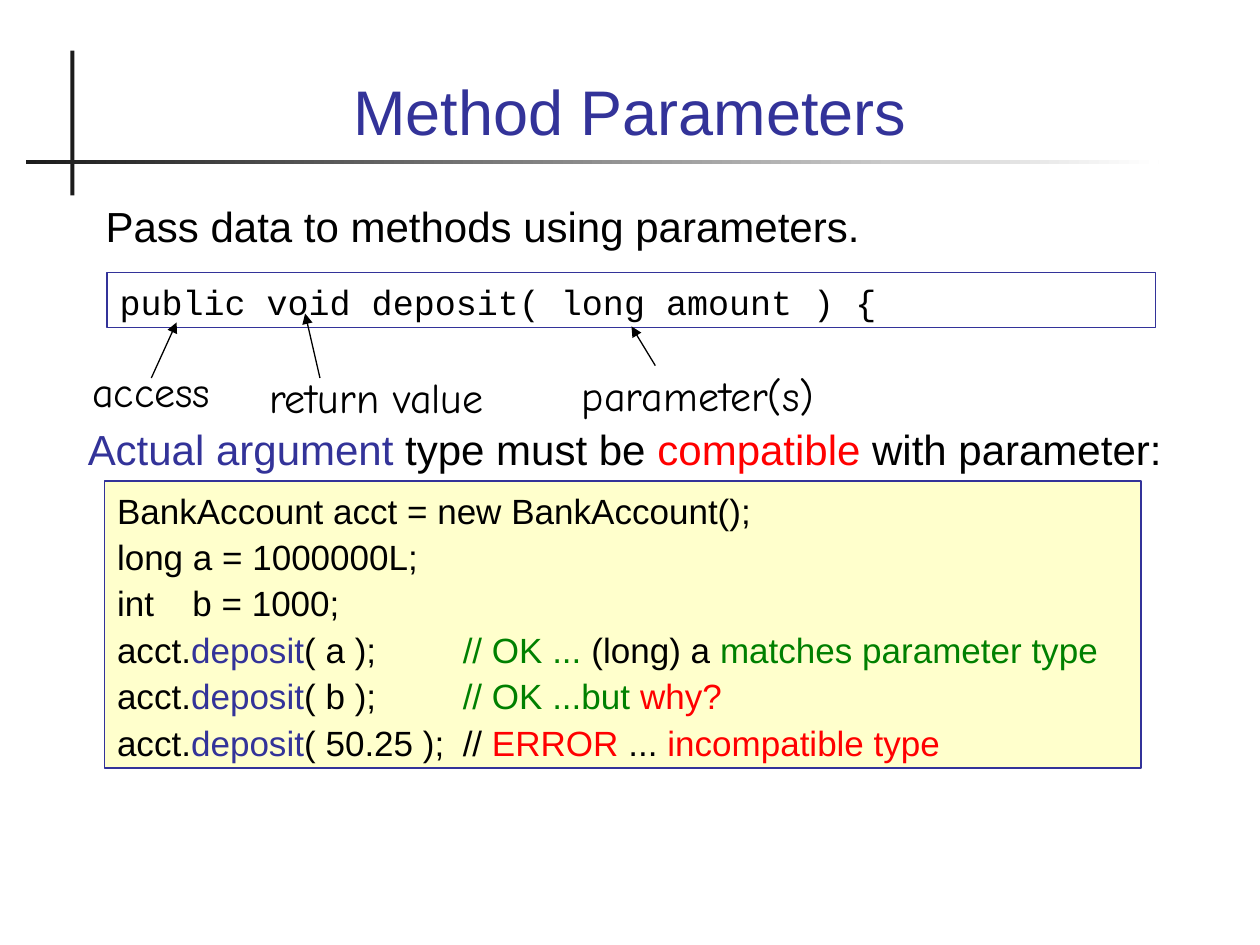
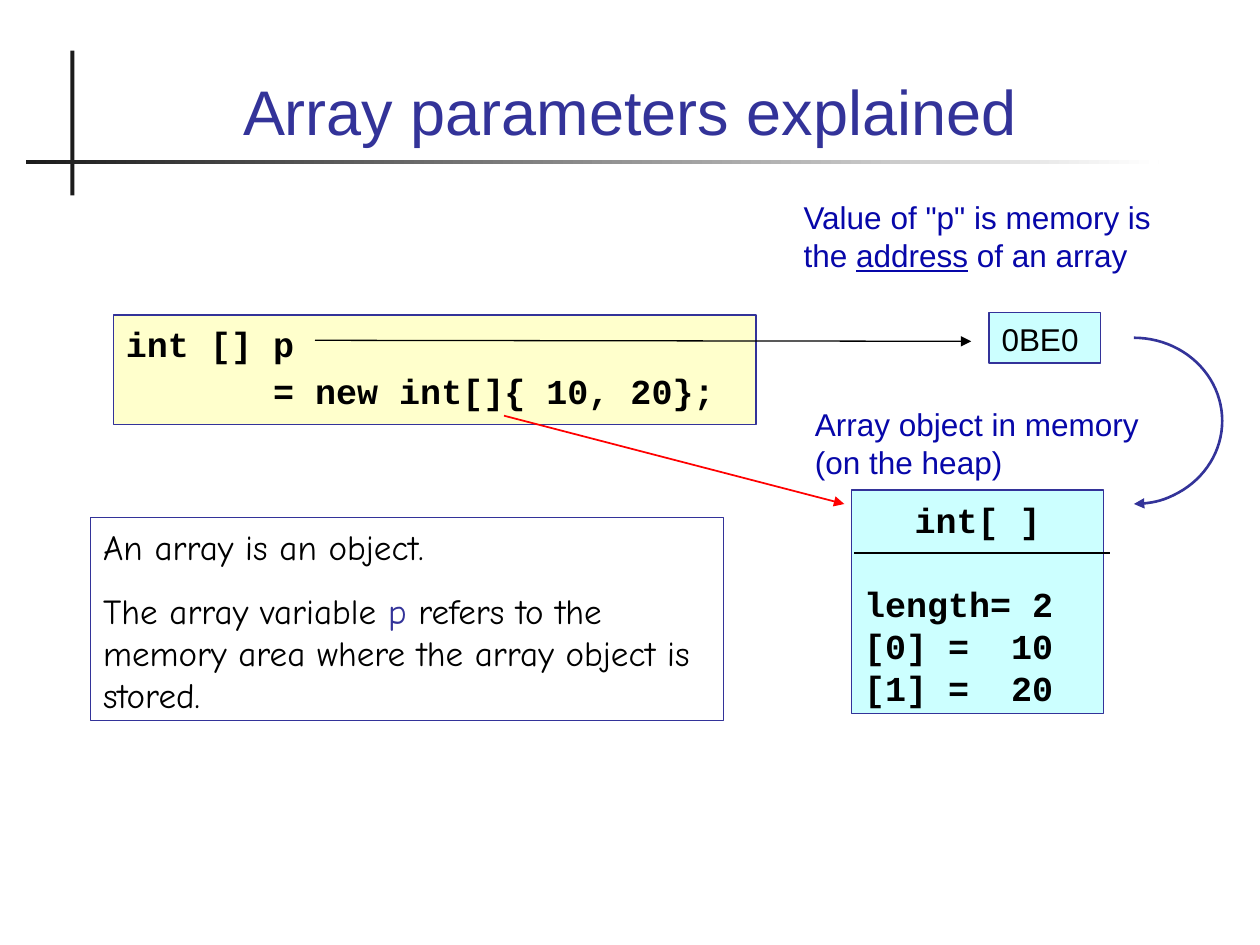
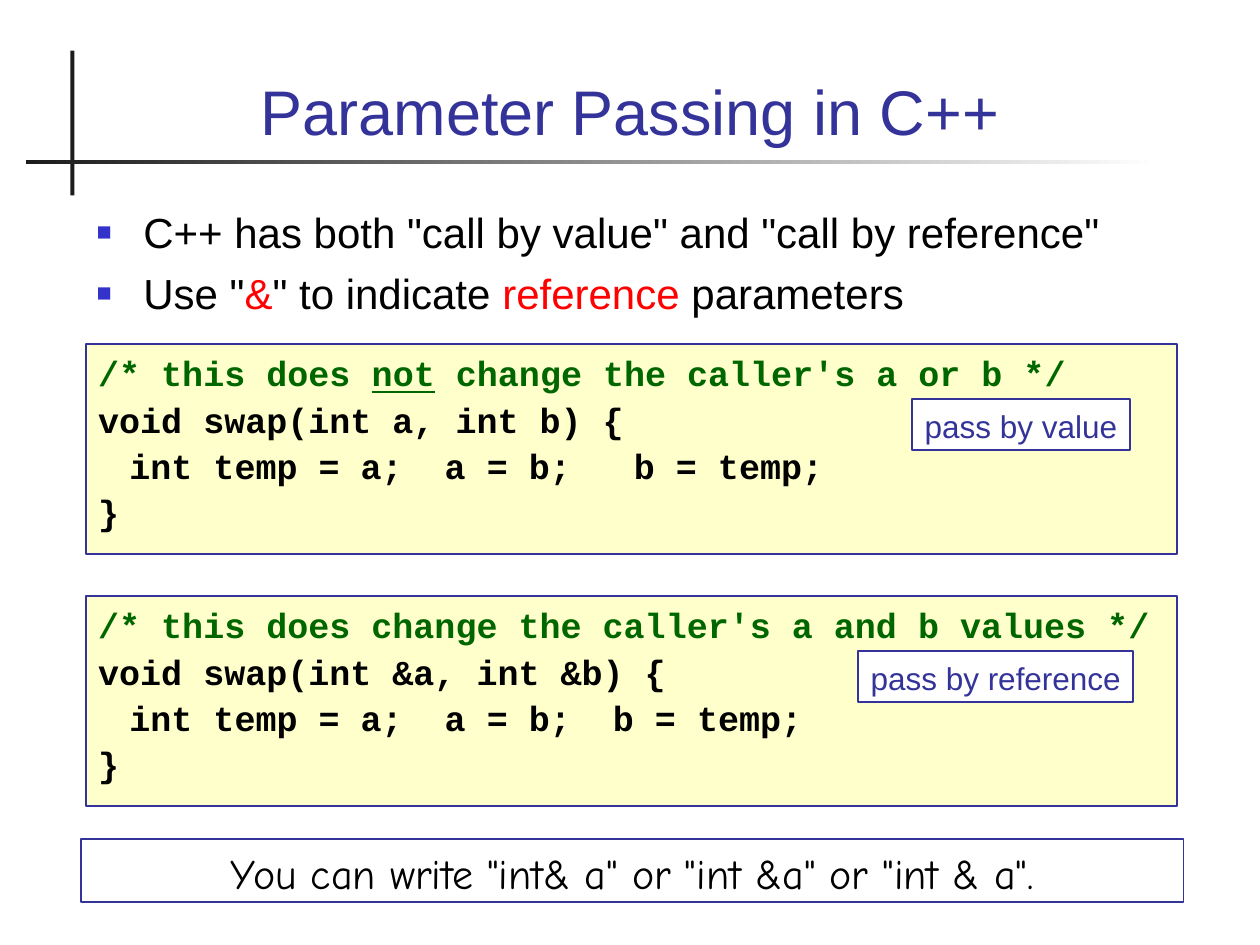
from dataclasses import dataclass

from lxml.etree import SubElement
from pptx import Presentation
from pptx.dml.color import RGBColor
from pptx.enum.shapes import MSO_CONNECTOR, MSO_SHAPE
from pptx.enum.text import MSO_ANCHOR, PP_ALIGN
from pptx.oxml.ns import qn
from pptx.util import Cm, Pt

BLACK = RGBColor(0x00, 0x00, 0x00)
WHITE = RGBColor(0xFF, 0xFF, 0xFF)
CHARCOAL = RGBColor(0x1C, 0x1C, 0x1C)
INDIGO = RGBColor(0x33, 0x33, 0x99)
BULLET_BLUE = RGBColor(0x33, 0x33, 0xCC)
NOTE_BLUE = RGBColor(0x07, 0x07, 0xA9)
RED = RGBColor(0xFF, 0x00, 0x00)
GREEN = RGBColor(0x00, 0x80, 0x00)
COMMENT_GREEN = RGBColor(0x00, 0x66, 0x00)
CREAM = RGBColor(0xFF, 0xFF, 0xCC)
CYAN = RGBColor(0xCC, 0xFF, 0xFF)

LINE_HEIGHT = 1.2
BULLET_INDENT = Cm(0.94)


@dataclass(frozen=True)
class Style:
    size: int
    font: str = "Arial"
    color: RGBColor = BLACK
    bold: bool = False
    align: PP_ALIGN = PP_ALIGN.LEFT
    gap: float = 0
    bullet: bool = False


TITLE = Style(36, color=INDIGO, align=PP_ALIGN.CENTER)
BODY = Style(24)
BULLETS = Style(24, gap=6, bullet=True)
CODE = Style(20, "Courier New", bold=True, gap=2.5)
SIGNATURE = Style(20, "Courier New")
EXAMPLE = Style(20, gap=2.5)
MEMORY = Style(20, "Courier New", bold=True)
HANDWRITTEN = Style(24, "Comic Neue", align=PP_ALIGN.CENTER)
REMARK = Style(20, "Comic Neue", gap=12.5)
ADDRESS = Style(18)
CAPTION = Style(18, color=NOTE_BLUE)
TAG = Style(18, color=INDIGO)


def add_bullet(paragraph):
    properties = paragraph._p.get_or_add_pPr()
    properties.set("marL", str(BULLET_INDENT))
    properties.set("indent", str(-BULLET_INDENT))
    color = SubElement(properties, qn("a:buClr"))
    SubElement(color, qn("a:srgbClr"), val=str(BULLET_BLUE))
    SubElement(properties, qn("a:buSzPct"), val="60000")
    SubElement(properties, qn("a:buFont"), typeface="Arial")
    SubElement(properties, qn("a:buChar"), char="■")


def add_tabs(paragraph, stops):
    tabs = SubElement(paragraph._p.get_or_add_pPr(), qn("a:tabLst"))
    for stop in stops:
        SubElement(tabs, qn("a:tab"), pos=str(Cm(stop)), algn="l")


def write(shape, lines, style, tabs=(), wrap=True, anchor=MSO_ANCHOR.TOP):
    """Write lines; each is a string or a list of strings and (text, color, underline) runs."""
    frame = shape.text_frame
    frame.word_wrap = wrap
    frame.vertical_anchor = anchor
    frame.margin_left = frame.margin_right = Cm(0.25)
    frame.margin_top, frame.margin_bottom = Cm(0.16), Cm(0.13)
    for index, line in enumerate(lines):
        paragraph = frame.paragraphs[0] if index == 0 else frame.add_paragraph()
        if style.bullet:
            add_bullet(paragraph)
        if tabs:
            add_tabs(paragraph, tabs)
        paragraph.alignment = style.align
        paragraph.line_spacing = Pt(style.size * LINE_HEIGHT)
        paragraph.space_before = Pt(style.gap if index else 0)
        font = paragraph.font
        font.name, font.size, font.bold = style.font, Pt(style.size), style.bold
        font.color.rgb = style.color
        for part in [line] if isinstance(line, str) else line:
            text, color, underline = (part, None, False) if isinstance(part, str) else part
            run = paragraph.add_run()
            run.text = text
            if color is not None:
                run.font.color.rgb = color
            if underline:
                run.font.underline = True
    return frame


def add_label(slide, box, lines, style, **options):
    return write(slide.shapes.add_textbox(*map(Cm, box)), lines, style, **options)


def add_rectangle(slide, box, fill=None, border=None):
    """Add a rectangle; border is a width in points."""
    rectangle = slide.shapes.add_shape(MSO_SHAPE.RECTANGLE, *map(Cm, box))
    rectangle.shadow.inherit = False
    if fill is None:
        rectangle.fill.background()
    else:
        rectangle.fill.solid()
        rectangle.fill.fore_color.rgb = fill
    if border is None:
        rectangle.line.fill.background()
    else:
        rectangle.line.color.rgb = INDIGO
        rectangle.line.width = Pt(border)
    return rectangle


def add_panel(slide, box, lines, style, fill=None, border=1, **options):
    return write(add_rectangle(slide, box, fill, border), lines, style, **options)


def stroke(shape, color, width, arrow):
    shape.line.color.rgb = color
    shape.line.width = Pt(width)
    if arrow:
        SubElement(shape.line._get_or_add_ln(), qn("a:tailEnd"), type="triangle")


def add_line(slide, ends, color=BLACK, width=0.75, arrow=True):
    line = slide.shapes.add_connector(MSO_CONNECTOR.STRAIGHT, *map(Cm, ends))
    stroke(line, color, width, arrow)
    SubElement(line._element.spPr, qn("a:effectLst"))


def add_half_circle_arrow(slide, box):
    arc = slide.shapes.add_shape(MSO_SHAPE.ARC, *map(Cm, box))
    arc.adjustments[0], arc.adjustments[1] = 162, 54
    arc.fill.background()
    stroke(arc, INDIGO, 1.5, True)
    arc.shadow.inherit = False


def add_titled_slide(deck, title):
    slide = deck.slides.add_slide(deck.slide_layouts[6])
    add_rectangle(slide, (1.42, 1.02, 0.08, 2.92), CHARCOAL)
    rule = add_rectangle(slide, (0.53, 3.23, 22.83, 0.08))
    rule.fill.gradient()
    rule.fill.gradient_angle = 0
    for stop, color in zip(rule.fill.gradient_stops, (CHARCOAL, WHITE)):
        stop.color.rgb = color
    add_label(slide, (1.7, 0.71, 22, 2.41), [title], TITLE, anchor=MSO_ANCHOR.BOTTOM)
    return slide


def build_method_parameters(deck):
    slide = add_titled_slide(deck, "Method Parameters")
    add_label(slide, (1.88, 3.89, 22, 1.52), ["Pass data to methods using parameters."], BODY)
    add_panel(slide, (2.16, 5.49, 21.13, 1.12), ["public void deposit( long amount ) {"],
              SIGNATURE, border=0.75)
    for name, left, top, width, pointer in (
        ("access", 1.6, 7.21, 2.9, (3.05, 7.62, 3.56, 6.5)),
        ("return value", 4.65, 7.32, 5.87, (6.45, 7.62, 6.15, 6.32)),
        ("parameter(s)", 11.46, 7.29, 5.23, (13.21, 7.37, 12.73, 6.58)),
    ):
        add_label(slide, (left, top, width, 1.27), [name], HANDWRITTEN, wrap=False)
        add_line(slide, pointer)
    add_label(slide, (1.52, 8.38, 22.89, 1.52), [[
        ("Actual argument", INDIGO, False), " type must be ",
        ("compatible", RED, False), " with parameter:",
    ]], BODY)
    call = ["acct.", ("deposit", INDIGO, False)]
    add_panel(slide, (2.11, 9.7, 20.9, 5.79), [
        "BankAccount acct = new BankAccount();",
        "long a = 1000000L;",
        "int\tb = 1000;",
        call + ["( a );\t", ("// OK ... ", GREEN, False), "(long) a",
                (" matches parameter type", GREEN, False)],
        call + ["( b );\t", ("// OK ...but ", GREEN, False), ("why?", RED, False)],
        call + ["( 50.25 );\t// ", ("ERROR", RED, False), " ... ",
                ("incompatible type", RED, False)],
    ], EXAMPLE, CREAM, tabs=(1.52, 6.97, 7.56)).paragraphs


def build_array_parameters(deck):
    slide = add_titled_slide(deck, "Array parameters explained")
    add_panel(slide, (2.29, 6.35, 12.95, 2.21),
              ["int [] p", "       = new int[]{ 10, 20};"], CODE, CREAM, 0.75)
    add_line(slide, (6.35, 6.86, 19.58, 6.88))
    add_panel(slide, (19.94, 6.3, 2.24, 1.02), ["0BE0"], ADDRESS, CYAN, 0.75)
    add_label(slide, (16.18, 8, 7.16, 1.78), ["Array object in memory (on the heap)"], CAPTION)
    add_panel(slide, (1.83, 10.44, 12.75, 4.09), [
        "An array is an object.",
        ["The array variable ", ("p", INDIGO, False),
         " refers to the memory area where the array object is stored."],
    ], REMARK, border=0.75)
    add_half_circle_arrow(slide, (21.08, 6.81, 3.56, 3.35))
    add_line(slide, (10.16, 8.38, 17.02, 10.16), RED, 1)
    array_object = add_panel(slide, (17.17, 9.88, 5.08, 4.5),
                             ["int[ ]", "length= 2", "[0] =  10", "[1] =  20"],
                             MEMORY, CYAN, 0.75)
    heading, length = array_object.paragraphs[:2]
    heading.alignment = PP_ALIGN.CENTER
    length.space_before = Pt(MEMORY.size * LINE_HEIGHT)
    add_line(slide, (17.22, 11.15, 22.38, 11.15), arrow=False)
    add_label(slide, (15.95, 3.84, 7.92, 1.78), [[
        'Value of "p" is memory is the ', ("address", None, True), " of an array",
    ]], CAPTION)


def build_parameter_passing(deck):
    slide = add_titled_slide(deck, "Parameter Passing in C++")
    add_label(slide, (1.7, 4.01, 22, 2.97), [
        'C++ has both "call by value" and "call by reference"',
        ['Use "', ("&", RED, False), '" to indicate ', ("reference", RED, False), " parameters"],
    ], BULLETS)
    for top, comment, signature, body, tag, tag_left, tag_width in (
        (6.93,
         [("/* this does ", COMMENT_GREEN, False), ("not", COMMENT_GREEN, True),
          (" change the caller's a or b */", COMMENT_GREEN, False)],
         "void swap(int a, int b) {", "\tint temp = a;  a = b; \tb = temp;",
         "pass by value", 18.39, 4.39),
        (12.01,
         [("/* this does change the caller's a and b values */", COMMENT_GREEN, False)],
         "void swap(int &a, int &b) {", "\tint temp = a;  a = b;  b = temp;",
         "pass by reference", 17.3, 5.54),
    ):
        add_panel(slide, (1.73, top, 22, 4.24), [comment, signature, body, "}"],
                  CODE, CREAM, tabs=(0.63, 10.8))
        add_panel(slide, (tag_left, top + 1.12, tag_width, 1.02), [tag], TAG, WHITE, wrap=False)
    add_panel(slide, (1.63, 16.92, 22.23, 1.27),
              ['You can write "int& a" or "int &a" or "int & a".'], HANDWRITTEN)


def main():
    deck = Presentation()
    deck.slide_width, deck.slide_height = Cm(25.4), Cm(19.05)
    build_method_parameters(deck)
    build_array_parameters(deck)
    build_parameter_passing(deck)
    deck.save("out.pptx")


if __name__ == "__main__":
    main()
